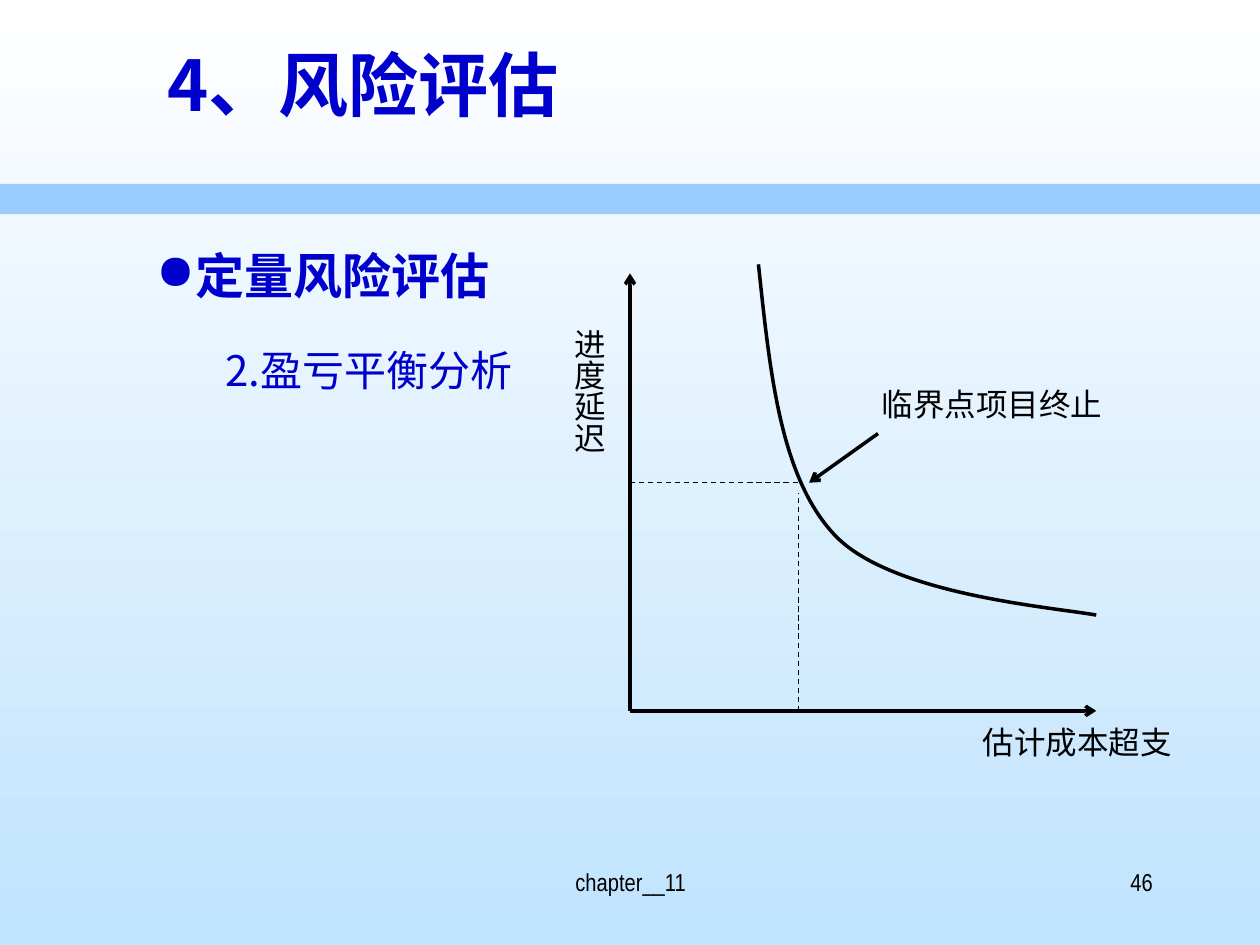
from lxml.etree import SubElement
from pptx import Presentation
from pptx.dml.color import RGBColor
from pptx.enum.dml import MSO_LINE
from pptx.enum.shapes import MSO_CONNECTOR, MSO_SHAPE
from pptx.enum.text import PP_ALIGN
from pptx.oxml.ns import qn
from pptx.util import Cm, Pt

CJK = "Noto Sans CJK SC"
LATIN = "Arial Narrow"
BLUE = "0000CC"
BLACK = "000000"
ORIGIN_X, ORIGIN_Y = 12.7, 14.33
AXIS_TOP, AXIS_RIGHT = 5.51, 22.1
CRITICAL_X, CRITICAL_Y = 16.1, 9.73


def color(hex_string):
    return RGBColor.from_string(hex_string)


def add_background(slide):
    fill = slide.background.fill
    fill.gradient()
    fill.gradient_angle = 270
    for stop, shade in zip(fill.gradient_stops, ("FFFFFF", "C0E3FE")):
        stop.color.rgb = color(shade)


def add_band(slide, top, width, height, shade):
    band = slide.shapes.add_shape(MSO_SHAPE.RECTANGLE, 0, Cm(top), width, Cm(height))
    band.shadow.inherit = False
    band.fill.solid()
    band.fill.fore_color.rgb = color(shade)
    band.line.fill.background()


def add_text(slide, box, text, size, shade=BLACK, font=CJK, bold=False,
             align=PP_ALIGN.LEFT, spacing=0.9, bullet=None):
    frame = slide.shapes.add_textbox(*map(Cm, box)).text_frame
    frame.word_wrap = True
    paragraph = frame.paragraphs[0]
    paragraph.alignment = align
    paragraph.line_spacing = spacing
    if bullet:
        properties = paragraph._p.get_or_add_pPr()
        properties.set("marL", str(Cm(0.8)))
        properties.set("indent", str(-Cm(0.8)))
        bullet_color = SubElement(properties, qn("a:buClr"))
        SubElement(bullet_color, qn("a:srgbClr"), val=shade)
        SubElement(properties, qn("a:buChar"), char=bullet)
    run = paragraph.add_run()
    run.text = text
    run.font.size = Pt(size)
    run.font.bold = bold
    run.font.color.rgb = color(shade)
    run.font.name = font
    SubElement(run._r.get_or_add_rPr(), qn("a:ea"), typeface=font)


def add_line(slide, start, end, width=2, dashed=False, arrow=False):
    connector = slide.shapes.add_connector(
        MSO_CONNECTOR.STRAIGHT, *map(Cm, (*start, *end)))
    connector.line.color.rgb = color(BLACK)
    connector.line.width = Pt(width)
    if dashed:
        connector.line.dash_style = MSO_LINE.DASH
    if arrow:
        SubElement(connector.line._get_or_add_ln(), qn("a:tailEnd"), type="arrow")
    SubElement(connector._element.spPr, qn("a:effectLst"))


def add_curve(slide, start, controls):
    """Draw cubic Bézier segments, each taking three of the control points."""
    builder = slide.shapes.build_freeform(*map(Cm, start))
    builder.add_line_segments([(Cm(x), Cm(y)) for x, y in controls], close=False)
    curve = builder.convert_to_shape()
    curve.shadow.inherit = False
    curve.fill.background()
    curve.line.color.rgb = color(BLACK)
    curve.line.width = Pt(2)
    outline = curve._element.find(".//" + qn("a:path"))
    segments = outline.findall(qn("a:lnTo"))
    for first in range(0, len(segments), 3):
        bezier = SubElement(outline, qn("a:cubicBezTo"))
        for segment in segments[first:first + 3]:
            bezier.append(segment[0])
            outline.remove(segment)


def add_break_even_chart(slide):
    origin = (ORIGIN_X, ORIGIN_Y)
    add_line(slide, origin, (ORIGIN_X, AXIS_TOP), arrow=True)
    add_line(slide, origin, (AXIS_RIGHT, ORIGIN_Y), arrow=True)
    add_curve(slide, (15.29, 5.33), [
        (15.52, 7.47), (15.72, 9.63), (16.84, 10.8),
        (17.98, 11.99), (21.21, 12.24), (AXIS_RIGHT, 12.4)])
    add_line(slide, (ORIGIN_X, CRITICAL_Y), (CRITICAL_X, CRITICAL_Y), 0.75, dashed=True)
    add_line(slide, (CRITICAL_X, ORIGIN_Y), (CRITICAL_X, 9.93), 0.75, dashed=True)
    add_line(slide, (17.7, 8.74), (16.31, CRITICAL_Y), arrow=True)

    center = PP_ALIGN.CENTER
    add_text(slide, (18.03, 14.53, 7.37, 2), "估计成本超支", 18, align=center)
    add_text(slide, (11.33, 6.55, 1, 8), "进度延迟", 18, align=center, spacing=0.83)
    add_text(slide, (16.31, 7.72, 7.37, 2), "临界点项目终止", 18, align=center)


def main():
    presentation = Presentation()
    presentation.slide_width = Cm(25.4)
    presentation.slide_height = Cm(19.05)
    slide = presentation.slides.add_slide(presentation.slide_layouts[6])

    add_background(slide)
    add_band(slide, 3.71, presentation.slide_width, 0.61, "99CCFF")
    add_text(slide, (8.69, 17.35, 8.05, 1.27), "chapter__11", 14, font=LATIN,
             align=PP_ALIGN.CENTER, spacing=1.0)
    add_text(slide, (18.21, 17.35, 5.28, 1.27), "46", 14, font=LATIN,
             align=PP_ALIGN.RIGHT, spacing=1.0)
    add_text(slide, (4.29, 6.93, 20.3, 2), "2.盈亏平衡分析", 24, BLUE)
    add_text(slide, (3.12, 0.91, 21.6, 3.18), "4、风险评估", 40, BLUE, bold=True)
    add_text(slide, (2.9, 4.95, 21.6, 1.98), "定量风险评估", 28, BLUE, bold=True,
             bullet="●")
    add_break_even_chart(slide)

    presentation.save("out.pptx")


if __name__ == "__main__":
    main()
